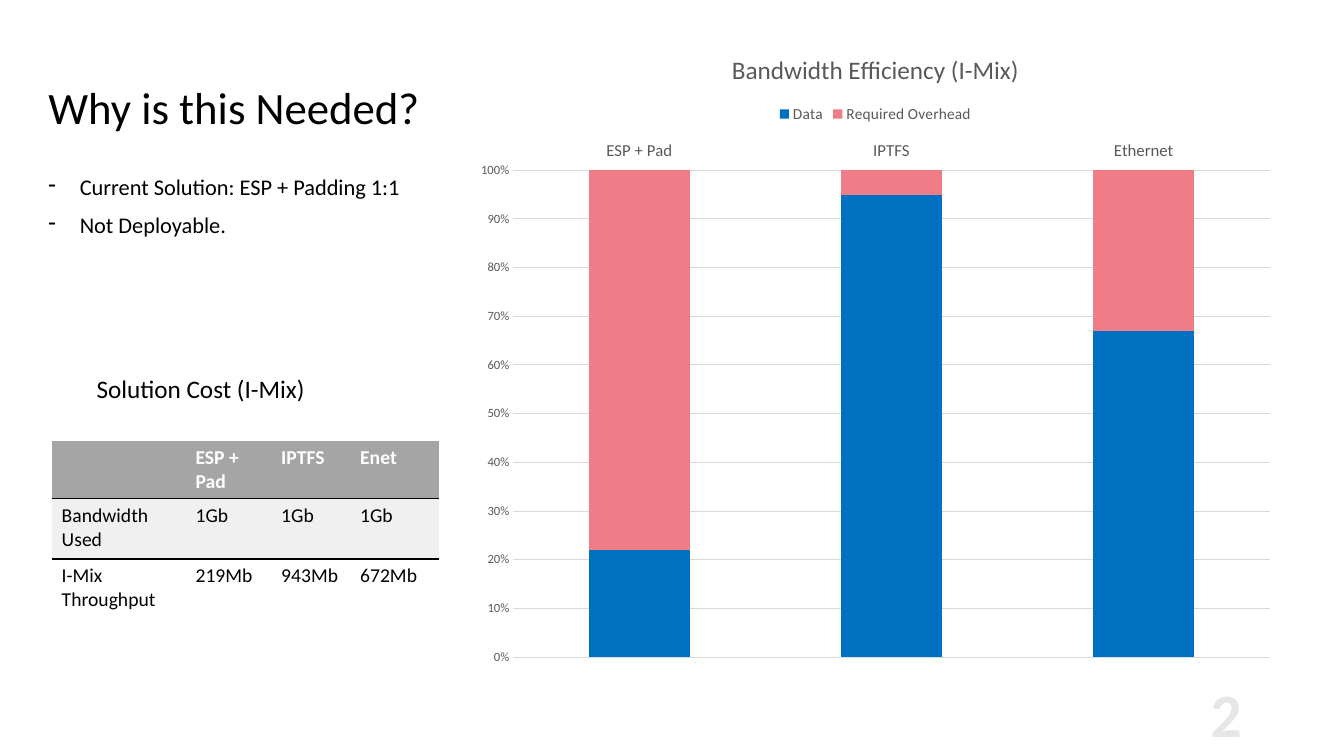
import pptx
import pptx.chart.data
import pptx.dml.color
import pptx.enum.chart
import pptx.enum.text
import pptx.oxml.ns
import pptx.util
from lxml import etree

Pt = pptx.util.Pt
qn = pptx.oxml.ns.qn
Align = pptx.enum.text.PP_ALIGN
Anchor = pptx.enum.text.MSO_ANCHOR

FONT = "Calibri"
COLOURS = {
    "text": "000000",
    "white": "FFFFFF",
    "header": "A5A5A5",
    "band": "F0F0F0",
    "axis": "595959",
    "grid": "D9D9D9",
    "data": "0070C0",
    "overhead": "EF7C87",
    "number": "E7E6E6",
}


def rgb(name):
    return pptx.dml.color.RGBColor.from_string(COLOURS[name])


def set_font(font, size, colour, bold=False):
    font.name = FONT
    font.size = Pt(size)
    font.bold = bold
    font.color.rgb = rgb(colour)


def write_text(frame, text, size=14, colour="text", bold=False, align=Align.LEFT,
               line_spacing=None, space_before=None, bullet=None, indent=0):
    """Write each line of the text as one paragraph."""
    for index, line in enumerate(text.split("\n")):
        paragraph = frame.add_paragraph() if index else frame.paragraphs[0]
        paragraph.alignment = align
        if line_spacing is not None:
            paragraph.line_spacing = line_spacing
        if space_before is not None:
            paragraph.space_before = Pt(space_before)
        if bullet:
            properties = paragraph._p.get_or_add_pPr()
            properties.set("marL", str(Pt(indent)))
            properties.set("indent", str(-Pt(indent)))
            etree.SubElement(properties, qn("a:buChar")).set("char", bullet)
        run = paragraph.add_run()
        run.text = line
        set_font(run.font, size, colour, bold)


def add_text(slide, text, left, top, width, height, anchor=Anchor.TOP, wrap=True, **text_format):
    frame = slide.shapes.add_textbox(Pt(left), Pt(top), Pt(width), Pt(height)).text_frame
    frame.word_wrap = wrap
    frame.vertical_anchor = anchor
    write_text(frame, text, **text_format)


def set_borders(cell, lined_sides):
    """Draw a thin line on the given sides and clear the others."""
    properties = cell._tc.get_or_add_tcPr()
    for position, side in enumerate("LRTB"):
        line = etree.Element(qn("a:ln" + side), w=str(Pt(1)))
        if side in lined_sides:
            fill = etree.SubElement(line, qn("a:solidFill"))
            etree.SubElement(fill, qn("a:srgbClr")).set("val", COLOURS["text"])
        else:
            etree.SubElement(line, qn("a:noFill"))
        properties.insert(position, line)


def add_cost_table(slide, rows, left, top, widths, heights):
    frame = slide.shapes.add_table(len(rows), len(widths), Pt(left), Pt(top),
                                   Pt(sum(widths)), Pt(sum(heights)))
    table = frame.table
    table.first_row = table.horz_banding = False
    for column, width in zip(table.columns, widths):
        column.width = Pt(width)
    row_styles = [("header", "B"), ("band", "TB"), ("white", "T")]
    for row_index, (values, height, (fill, sides)) in enumerate(zip(rows, heights, row_styles)):
        table.rows[row_index].height = Pt(height)
        is_header = row_index == 0
        for column_index, value in enumerate(values):
            cell = table.cell(row_index, column_index)
            cell.fill.solid()
            cell.fill.fore_color.rgb = rgb(fill)
            set_borders(cell, sides)
            write_text(cell.text_frame, value, bold=is_header,
                       colour="white" if is_header else "text")


def add_efficiency_chart(slide, title, categories, series_values, left, top, width, height):
    chart_data = pptx.chart.data.CategoryChartData()
    chart_data.categories = categories
    for name, values, _ in series_values:
        chart_data.add_series(name, values)
    chart = slide.shapes.add_chart(
        pptx.enum.chart.XL_CHART_TYPE.COLUMN_STACKED_100,
        Pt(left), Pt(top), Pt(width), Pt(height), chart_data).chart
    set_font(chart.font, 10, "text")

    # Title and legend
    chart.has_title = True
    write_text(chart.chart_title.text_frame, title, size=18, colour="axis", align=Align.CENTER)
    chart.chart_title.include_in_layout = False
    chart.has_legend = True
    chart.legend.position = pptx.enum.chart.XL_LEGEND_POSITION.TOP
    chart.legend.include_in_layout = False
    set_font(chart.legend.font, 11, "axis")

    # Axes
    for axis, size in ((chart.category_axis, 12), (chart.value_axis, 9)):
        axis.major_tick_mark = axis.minor_tick_mark = pptx.enum.chart.XL_TICK_MARK.NONE
        axis.format.line.fill.background()
        set_font(axis.tick_labels.font, size, "axis")
    chart.category_axis.tick_label_position = pptx.enum.chart.XL_TICK_LABEL_POSITION.HIGH
    value_axis = chart.value_axis
    value_axis.minimum_scale, value_axis.maximum_scale, value_axis.major_unit = 0, 1, 0.1
    value_axis.tick_labels.number_format = "0%"
    value_axis.tick_labels.number_format_is_linked = False
    value_axis.has_major_gridlines = True
    value_axis.major_gridlines.format.line.color.rgb = rgb("grid")
    value_axis.major_gridlines.format.line.width = Pt(0.75)

    # Columns
    plot = chart.plots[0]
    plot.gap_width, plot.overlap = 150, 100
    plot.vary_by_categories = False
    for series, (_, _, colour) in zip(plot.series, series_values):
        series.format.fill.solid()
        series.format.fill.fore_color.rgb = rgb(colour)


def main():
    presentation = pptx.Presentation()
    presentation.slide_width, presentation.slide_height = Pt(960), Pt(540)
    slide = presentation.slides.add_slide(presentation.slide_layouts[6])

    # Heading and points
    add_text(slide, "Why is this Needed?", 27.4, 36.7, 291.6, 62.6,
             anchor=Anchor.BOTTOM, size=32, line_spacing=0.9)
    add_text(slide, "Current Solution: ESP + Padding 1:1\nNot Deployable.",
             27.4, 122.4, 310.3, 339.8, size=16, line_spacing=0.9,
             space_before=10, bullet="-", indent=22.5)

    # Bandwidth chart
    add_efficiency_chart(
        slide, "Bandwidth Efficiency (I-Mix)", ["ESP + Pad", "IPTFS", "Ethernet"],
        [("Data", (22, 95, 67), "data"),
         ("Required Overhead", (78, 5, 33), "overhead")],
        331.9, 20.9, 586.8, 463)

    # Cost table
    add_cost_table(
        slide,
        [["", "ESP +\nPad", "IPTFS", "Enet"],
         ["Bandwidth Used", "1Gb", "1Gb", "1Gb"],
         ["I-Mix Throughput", "219Mb", "943Mb", "672Mb"]],
        36.9, 315.2, widths=[95.6, 61.2, 56.4, 63.2], heights=[34.6, 43.2, 43.2])
    add_text(slide, "Solution Cost (I-Mix)", 61.9, 262.8, 163.4, 28.8, wrap=False, size=18)

    # Slide number
    add_text(slide, "2", 834, 479.5, 60, 60, size=44, colour="number",
             bold=True, align=Align.RIGHT)

    presentation.save("out.pptx")


if __name__ == "__main__":
    main()
